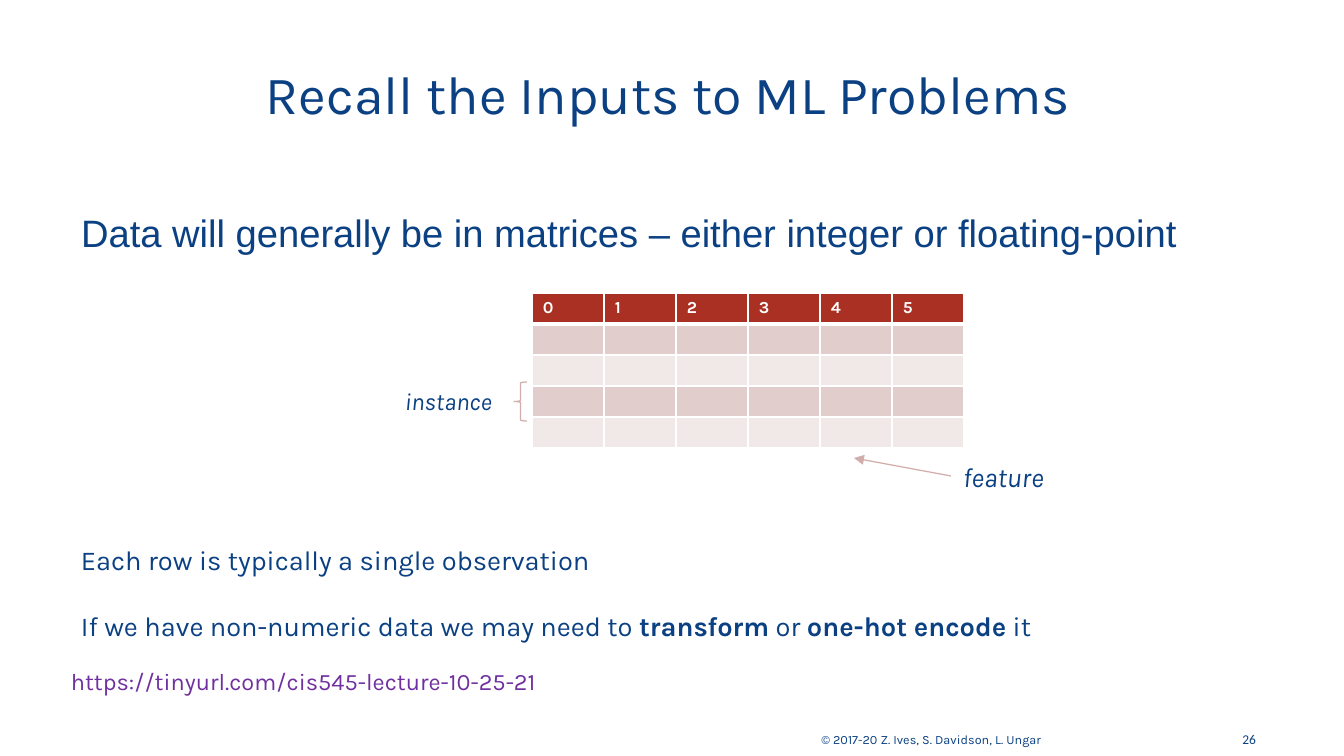
from dataclasses import dataclass
from lxml.etree import SubElement as Sub
from pptx import Presentation
from pptx.dml.color import RGBColor as RGB
from pptx.enum.shapes import MSO_CONNECTOR as Link, MSO_SHAPE as Shape
from pptx.enum.text import MSO_ANCHOR as Anchor, PP_ALIGN as Align
from pptx.oxml.ns import qn
from pptx.util import Emu, Pt


@dataclass(frozen=True)
class Theme:
    blue: str = "0B4183"
    purple: str = "7030A0"
    red: str = "A93023"
    rose: str = "E2CDCD"
    pale: str = "F1E8E8"
    line: str = "D1AEAC"
    white: str = "FFFFFF"
    face: str = "Karla"
    sans: str = "Arial"
    plain: str = "Calibri"
    title: float = 32
    lead: float = 22.7
    note: float = 16.2
    label: float = 14.4
    link: float = 14
    cell: float = 10
    page: float = 8
    foot: float = 7.5


T = Theme()


def px(n):
    return Emu(round(n * 914400 / 121))


def style(par, size, color=T.blue, face=T.face, bold=None, italic=None):
    for run in par.runs:
        font = run.font
        font.size, font.name = Pt(size), face
        font.color.rgb = RGB.from_string(color)
        if bold is not None:
            font.bold = bold
        font.italic = italic


def label(slide, box, text, size, align=Align.LEFT, anchor=Anchor.TOP,
          wrap=True, **look):
    """Add a text box with one styled paragraph."""
    frame = slide.shapes.add_textbox(*map(px, box)).text_frame
    frame.word_wrap, frame.vertical_anchor = wrap, anchor
    par = frame.paragraphs[0]
    par.text, par.alignment = text, align
    style(par, size, **look)


def holder(shape, box, text, size, align, face):
    """Move a placeholder and fill it with one unbulleted line."""
    shape.left, shape.top, shape.width, shape.height = map(px, box)
    frame = shape.text_frame
    frame.text, frame.word_wrap = text, True
    frame.vertical_anchor = Anchor.MIDDLE
    par = frame.paragraphs[0]
    par.alignment = align
    par.space_before = Pt(0)
    props = par._p.get_or_add_pPr()
    props.set("marL", "0")
    props.set("indent", "0")
    Sub(props, qn("a:buNone"))
    style(par, size, face=face)


def edge(cell, side, width):
    line = Sub(cell._tc.get_or_add_tcPr(), qn(f"a:ln{side}"),
               w=str(Pt(width)))
    fill = Sub(line, qn("a:solidFill"))
    Sub(fill, qn("a:srgbClr"), val=T.white)


def matrix(slide, box, rows=5, cols=6):
    x, y, w, h = box
    table = slide.shapes.add_table(rows, cols, *map(px, box)).table
    for col in table.columns:
        col.width = px(w // cols)
    for r, row in enumerate(table.rows):
        row.height = px(h // rows)
        for c, cell in enumerate(row.cells):
            cell.margin_left = cell.margin_right = px(11)
            cell.margin_top = cell.margin_bottom = px(5)
            for side in "LRTB":
                heavy = (r, side) in ((0, "B"), (1, "T"))
                edge(cell, side, 3 if heavy else 1)
            cell.fill.solid()
            shade = (T.pale, T.rose)[r % 2] if r else T.red
            cell.fill.fore_color.rgb = RGB.from_string(shade)
            par = cell.text_frame.paragraphs[0]
            if r == 0:
                par.text = str(c)
                style(par, T.cell, T.white, bold=True)
            else:
                Sub(par._p, qn("a:endParaRPr"), sz=str(int(T.cell * 100)))


def stroke(shape):
    shape.line.color.rgb = RGB.from_string(T.line)
    shape.line.width = Pt(0.75)


def row_mark(slide, box):
    """Name one row of the matrix with a brace."""
    x, y, w, h = box
    label(slide, (x, y, 115, h), "instance", T.label, italic=True)
    brace = slide.shapes.add_shape(
        Shape.LEFT_BRACE, *map(px, (x + w - 13, y + 2, 13, 39)))
    brace.shadow.inherit = False
    brace.fill.background()
    stroke(brace)


def column_mark(slide, box):
    """Name one column of the matrix with an arrow."""
    x, y, w, h = box
    label(slide, (x + w - 110, y - 4, 110, h), "feature", T.note,
          wrap=False, italic=True)
    ends = x + w - 110, y + 18, x, y
    arrow = slide.shapes.add_connector(Link.STRAIGHT, *map(px, ends))
    stroke(arrow)
    Sub(arrow.line._get_or_add_ln(), qn("a:tailEnd"), type="triangle")
    Sub(arrow._element.spPr, qn("a:effectLst"))


def notes(slide, box):
    frame = slide.shapes.add_textbox(*map(px, box)).text_frame
    frame.word_wrap = False
    first = frame.paragraphs[0]
    first.text = "Each row is typically a single observation"
    style(first, T.note)
    last = frame.add_paragraph()
    last.space_before = Pt(20)
    parts = ("If we have non-numeric data we may need to ", "transform",
             " or ", "one-hot encode", " it")
    for i, part in enumerate(parts):
        run = last.add_run()
        run.text, run.font.bold = part, i % 2 == 1
    style(last, T.note)


def footer(slide, box):
    x, y, w, h = box
    label(slide, (x, y, 407, h), "© 2017-20 Z. Ives, S. Davidson, L. Ungar",
          T.foot, Align.RIGHT, Anchor.BOTTOM)
    label(slide, (x + w - 60, y, 60, h), "26", T.page, Align.RIGHT,
          Anchor.MIDDLE, face=T.plain)


def main():
    deck = Presentation()
    deck.slide_width, deck.slide_height = px(1344), px(756)
    slide = deck.slides.add_slide(deck.slide_layouts[1])
    holder(slide.shapes.title, (69, 21, 1199, 144),
           "Recall the Inputs to ML Problems", T.title, Align.CENTER, T.face)
    holder(slide.placeholders[1], (69, 192, 1199, 81),
           "Data will generally be in matrices – either integer or "
           "floating-point", T.lead, Align.LEFT, T.sans)
    matrix(slide, (532, 293, 432, 155))
    row_mark(slide, (393, 380, 134, 41))
    column_mark(slide, (854, 458, 207, 45))
    notes(slide, (69, 537, 999, 111))
    label(slide, (59, 661, 672, 41),
          "https://tinyurl.com/cis545-lecture-10-25-21", T.link,
          color=T.purple)
    footer(slide, (646, 725, 622, 28))
    deck.save("out.pptx")


if __name__ == "__main__":
    main()
